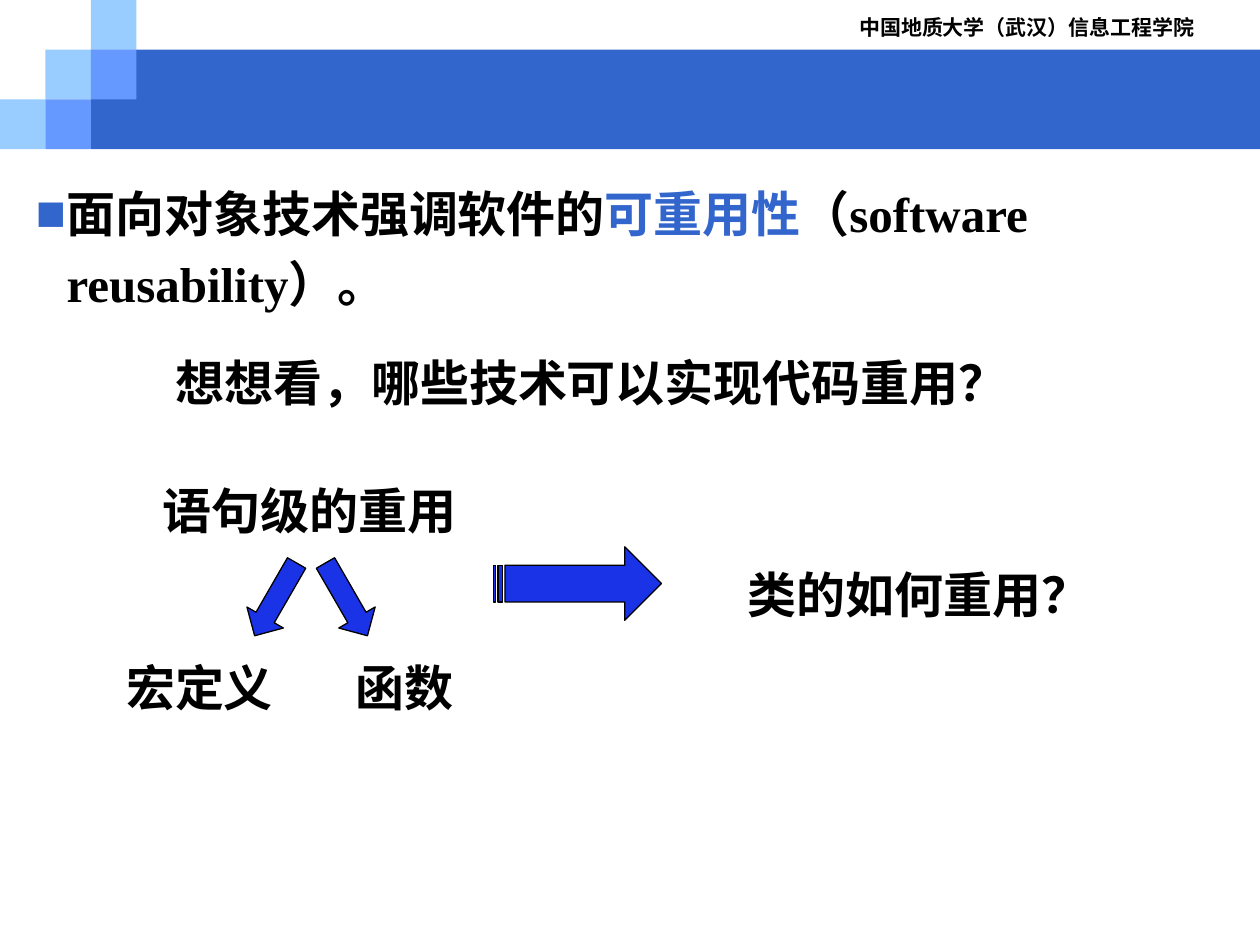
from dataclasses import dataclass
from lxml.etree import SubElement
from pptx import Presentation
from pptx.dml.color import RGBColor as RGB
from pptx.enum.shapes import MSO_SHAPE as Kind
from pptx.enum.text import MSO_AUTO_SIZE as Fit, PP_ALIGN as Align
from pptx.oxml.ns import qn
from pptx.util import Pt


@dataclass(frozen=True)
class Theme:
    blue: str = "3366CC"
    sky: str = "99CCFF"
    mid: str = "6699FF"
    arrow: str = "1B33E7"
    ink: str = "000000"
    head: int = 12
    body: int = 28
    serif: str = "Times New Roman"
    sans: str = "DejaVu Sans"
    han: str = "Noto Sans CJK SC"


T = Theme()


def paint(slide, kind, box, fill, line=None, turn=0):
    shape = slide.shapes.add_shape(kind, *map(Pt, box))
    shape.shadow.inherit = False
    shape.rotation = turn
    shape.fill.solid()
    shape.fill.fore_color.rgb = RGB.from_string(fill)
    if line:
        shape.line.color.rgb = RGB.from_string(line)
        shape.line.width = Pt(0.75)
    else:
        shape.line.fill.background()


def mark(para, color, indent):
    props = para._p.get_or_add_pPr()
    props.set("marL", str(Pt(indent)))
    props.set("indent", str(-Pt(indent)))
    tint = SubElement(props, qn("a:buClr"))
    SubElement(tint, qn("a:srgbClr"), val=color)
    SubElement(props, qn("a:buSzPct"), val="65000")
    SubElement(props, qn("a:buFont"), typeface=T.sans)
    SubElement(props, qn("a:buChar"), char="■")


def write(slide, text, box, size=T.body, font=T.han, align=Align.CENTER,
          space=None, bullet=False, grow=True):
    frame = slide.shapes.add_textbox(*map(Pt, box)).text_frame
    frame.word_wrap = True
    frame.auto_size = Fit.SHAPE_TO_FIT_TEXT if grow else Fit.NONE
    para = frame.paragraphs[0]
    if bullet:
        mark(para, T.blue, 17.5)
    para.alignment = align
    if space:
        para.line_spacing = space
    parts = [(text, T.ink)] if isinstance(text, str) else text
    for words, color in parts:
        run = para.add_run()
        run.text = words
        run.font.size = Pt(size)
        run.font.bold = True
        run.font.name = font
        run.font.color.rgb = RGB.from_string(color)
        SubElement(run.font._element, qn("a:ea"), typeface=T.han)


def banner(slide):
    wide, high = 26, 28.4
    paint(slide, Kind.RECTANGLE, (2 * wide, high, 720 - 2 * wide, 2 * high), T.blue)
    cells = [(0, 2, T.sky), (1, 1, T.sky), (2, 0, T.sky), (2, 1, T.mid), (1, 2, T.mid)]
    for col, row, fill in cells:
        paint(slide, Kind.RECTANGLE, (col * wide, row * high, wide, high), fill)
    write(slide, "中国地质大学（武汉）信息工程学院", (468, 5, 222, 19),
          size=T.head, font=T.sans, align=Align.RIGHT, grow=False)


def main():
    deck = Presentation()
    deck.slide_width, deck.slide_height = Pt(720), Pt(540)
    slide = deck.slides.add_slide(deck.slide_layouts[6])
    banner(slide)
    claim = [("面向对象技术强调软件的", T.ink), ("可重用性", T.blue),
             ("（software reusability）。", T.ink)]
    write(slide, claim, (13.5, 94.5, 706, 88), font=T.serif,
          align=Align.LEFT, space=1.2, bullet=True)
    write(slide, "想想看，哪些技术可以实现代码重用？", (84, 198, 480, 41))
    write(slide, "语句级的重用", (84, 271, 186, 41), font=T.serif)
    write(slide, "宏定义", (60, 372, 108, 41))
    write(slide, "函数", (186, 372, 90, 41))
    write(slide, "类的如何重用？", (420, 319, 210, 41), font=T.serif)
    for left, turn in [(145.5, 30), (186, 330)]:
        paint(slide, Kind.DOWN_ARROW, (left, 318.5, 24, 48), T.arrow, T.ink, turn)
    paint(slide, Kind.STRIPED_RIGHT_ARROW, (282, 312.5, 96, 42), T.arrow, T.ink)
    deck.save("out.pptx")


if __name__ == "__main__":
    main()
